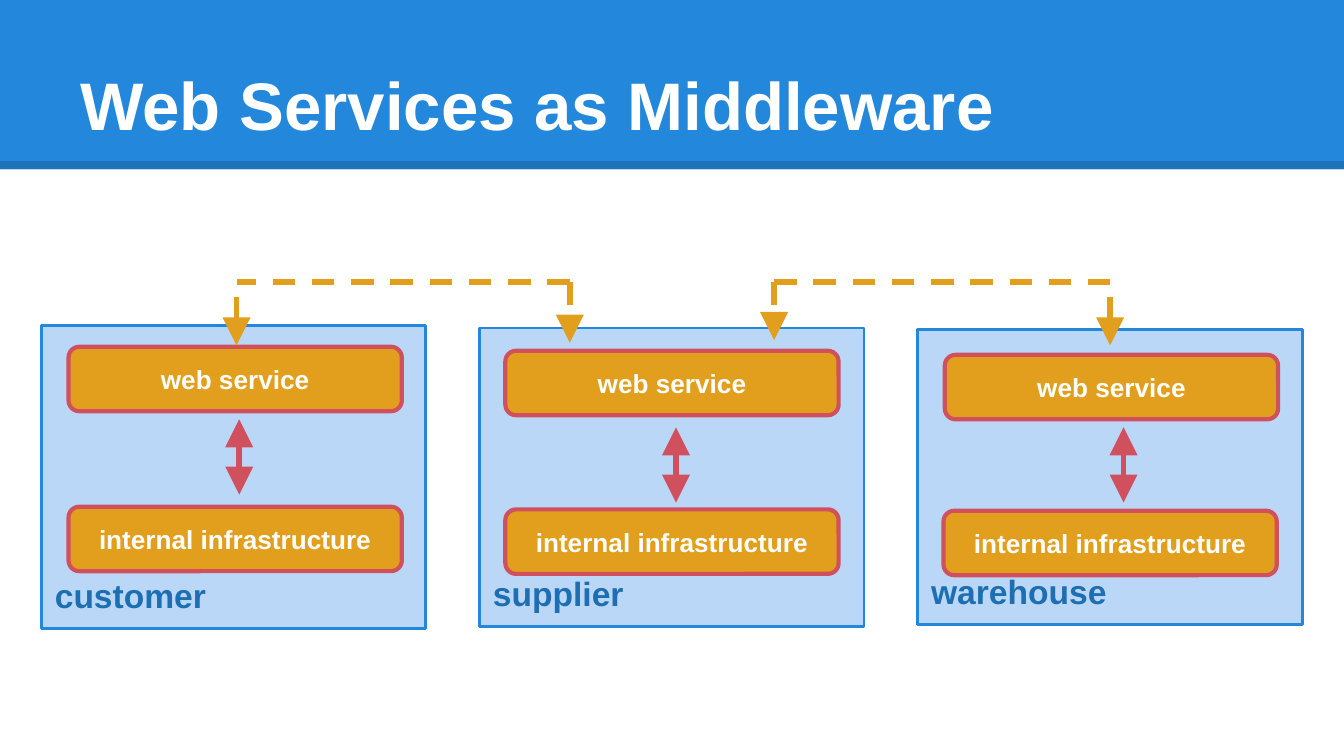
from dataclasses import dataclass

from lxml import etree
from pptx import Presentation
from pptx.dml.color import RGBColor
from pptx.enum.dml import MSO_LINE
from pptx.enum.shapes import MSO_CONNECTOR, MSO_SHAPE
from pptx.enum.text import MSO_ANCHOR, PP_ALIGN
from pptx.oxml.ns import qn
from pptx.util import Inches, Pt

RECT, ROUNDED = MSO_SHAPE.RECTANGLE, MSO_SHAPE.ROUNDED_RECTANGLE
STRAIGHT, DASH = MSO_CONNECTOR.STRAIGHT, MSO_LINE.DASH
BOTTOM, MIDDLE = MSO_ANCHOR.BOTTOM, MSO_ANCHOR.MIDDLE
LEFT, CENTER = PP_ALIGN.LEFT, PP_ALIGN.CENTER
COLORS = {"blue": "2388DB", "pale": "BBD7F8", "deep": "1D6FB2", "amber": "E29F1D",
          "red": "D1505E", "white": "FFFFFF", "black": "000000"}

# Grid of square cells on a 16:9 slide, 100 columns wide
COLS, CELL = 100, 0.1
ROWS = COLS * 9 / 16
PANEL_W, PANEL_STEP, PANEL_LEFT = 28.6, 32.6, 3.1
BOX_W, BOX_H = 24.8, 4.8
ARROW_H, LINK_TOP = 5.6, 21


@dataclass
class Party:
    name: str
    top: float
    height: float
    service: tuple[float, float]
    infrastructure: tuple[float, float]
    arrow: tuple[float, float]


@dataclass
class Link:
    outer: float
    inner: float
    inner_tip: float
    outer_tip: float = 25.7


PARTIES = [
    Party("customer", 24.2, 22.6, (5.1, 25.8), (5.1, 37.7), (17.8, 31.2)),
    Party("supplier", 24.4, 22.2, (37.6, 26.1), (37.6, 37.9), (50.3, 31.8)),
    Party("warehouse", 24.5, 22, (70.3, 26.4), (70.2, 38), (83.6, 31.8)),
]
LINKS = [Link(17.6, 42.4, 25.5), Link(82.6, 57.6, 25.3)]


def cells(n: float) -> int:
    return Inches(n * CELL)


def rgb(name: str) -> RGBColor:
    return RGBColor.from_string(COLORS[name])


def write(shape, text: str, size: float, color: str, anchor, align) -> None:
    tf = shape.text_frame
    tf.word_wrap = True
    tf.vertical_anchor = anchor
    tf.margin_left = tf.margin_right = tf.margin_top = tf.margin_bottom = cells(1)
    p = tf.paragraphs[0]
    p.text, p.alignment = text, align
    p.font.name, p.font.size, p.font.bold = "Arial", Pt(size), True
    p.font.color.rgb = rgb(color)


def add_box(s, kind, x: float, y: float, w: float, h: float, fill: str,
            line: str | None = None, width: float = 0):
    sp = s.shapes.add_shape(kind, cells(x), cells(y), cells(w), cells(h))
    sp.shadow.inherit = False
    sp.fill.solid()
    sp.fill.fore_color.rgb = rgb(fill)
    if line:
        sp.line.color.rgb = rgb(line)
        sp.line.width = Pt(width)
    else:
        sp.line.fill.background()
    return sp


def add_line(s, start: tuple[float, float], end: tuple[float, float], color: str,
             width: float = 3, dashed: bool = False, ends: tuple[str, ...] = ()):
    c = s.shapes.add_connector(STRAIGHT, *map(cells, start + end))
    c.line.color.rgb = rgb(color)
    c.line.width = Pt(width)
    if dashed:
        c.line.dash_style = DASH
    ln = c.line._get_or_add_ln()
    for tag in ends:
        etree.SubElement(ln, qn(tag), type="triangle", w="lg", len="lg")
    etree.SubElement(c._element.spPr, qn("a:effectLst"))
    return c


def add_node(s, text: str, at: tuple[float, float]) -> None:
    sp = add_box(s, ROUNDED, *at, BOX_W, BOX_H, "amber", "red", 2.25)
    write(sp, text, 14, "white", MIDDLE, CENTER)


def add_party(s, party: Party, index: int) -> None:
    panel = add_box(s, RECT, PANEL_LEFT + index * PANEL_STEP, party.top,
                    PANEL_W, party.height, "pale", "blue", 1.5)
    write(panel, party.name, 18, "deep", BOTTOM, LEFT)
    add_node(s, "web service", party.service)
    add_node(s, "internal infrastructure", party.infrastructure)
    x, y = party.arrow
    add_line(s, (x, y), (x, y + ARROW_H), "red", ends=("a:headEnd", "a:tailEnd"))


def add_link(s, link: Link) -> None:
    inner, outer = (link.inner, LINK_TOP), (link.outer, LINK_TOP)
    add_line(s, inner, outer, "amber", dashed=True)
    add_line(s, (link.outer, link.outer_tip), outer, "amber", dashed=True, ends=("a:headEnd",))
    add_line(s, inner, (link.inner, link.inner_tip), "amber", dashed=True, ends=("a:tailEnd",))


def main() -> None:
    prs = Presentation()
    prs.slide_width, prs.slide_height = cells(COLS), cells(ROWS)
    s = prs.slides.add_slide(prs.slide_layouts[6])

    # Title band with a translucent lower edge
    add_box(s, RECT, 0, 0, COLS, 12.6, "blue")
    edge = add_line(s, (0, 12.3), (COLS, 12.3), "black", 4.5)
    color = edge.line._get_or_add_ln().find(".//" + qn("a:srgbClr"))
    etree.SubElement(color, qn("a:alpha"), val="15000")
    title = s.shapes.add_textbox(cells(5), cells(2.3), cells(90), cells(9.4))
    write(title, "Web Services as Middleware", 36, "white", BOTTOM, LEFT)

    # Parties, then the links between their web services
    for i, party in enumerate(PARTIES):
        add_party(s, party, i)
    for link in LINKS:
        add_link(s, link)

    prs.save("out.pptx")


if __name__ == "__main__":
    main()
